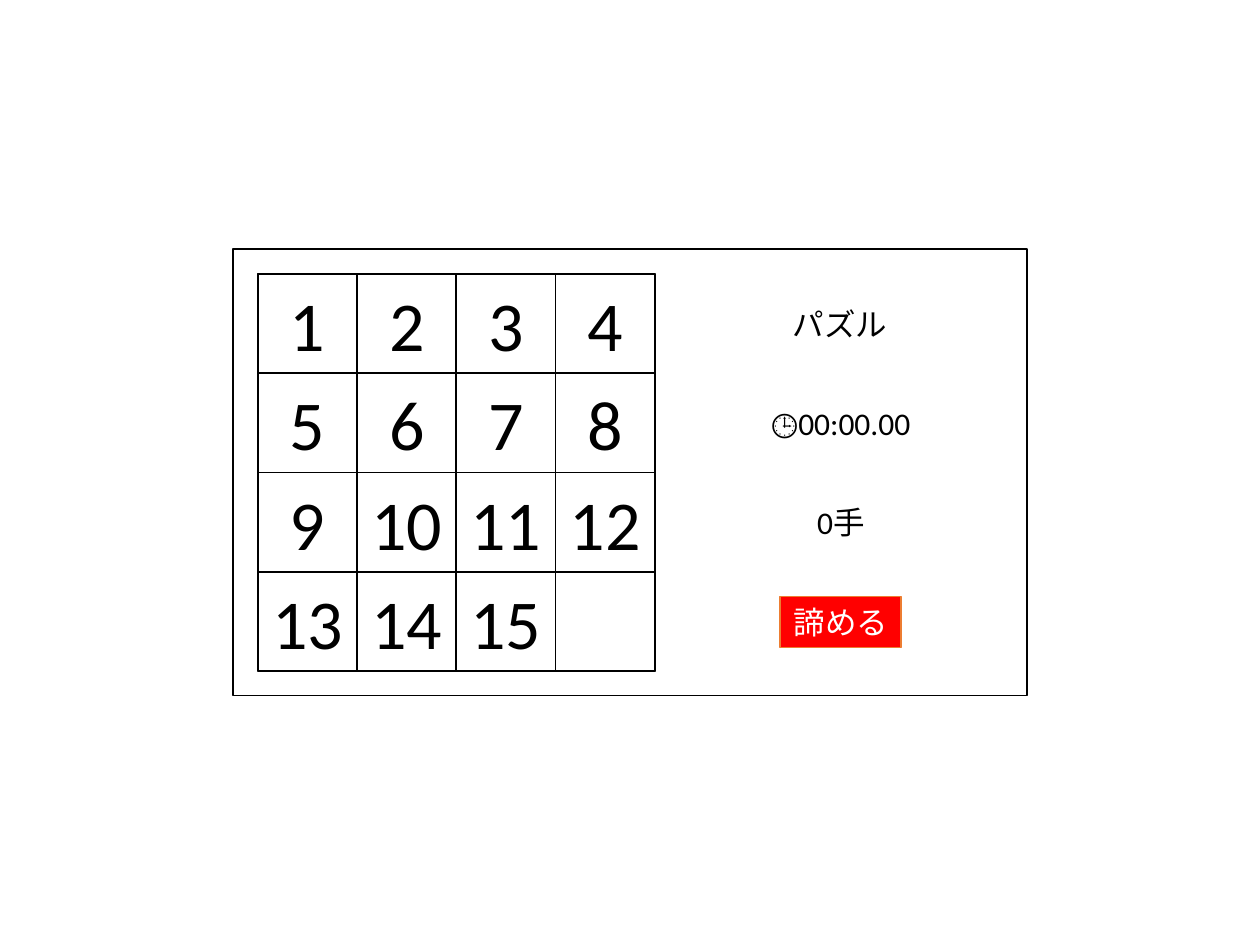
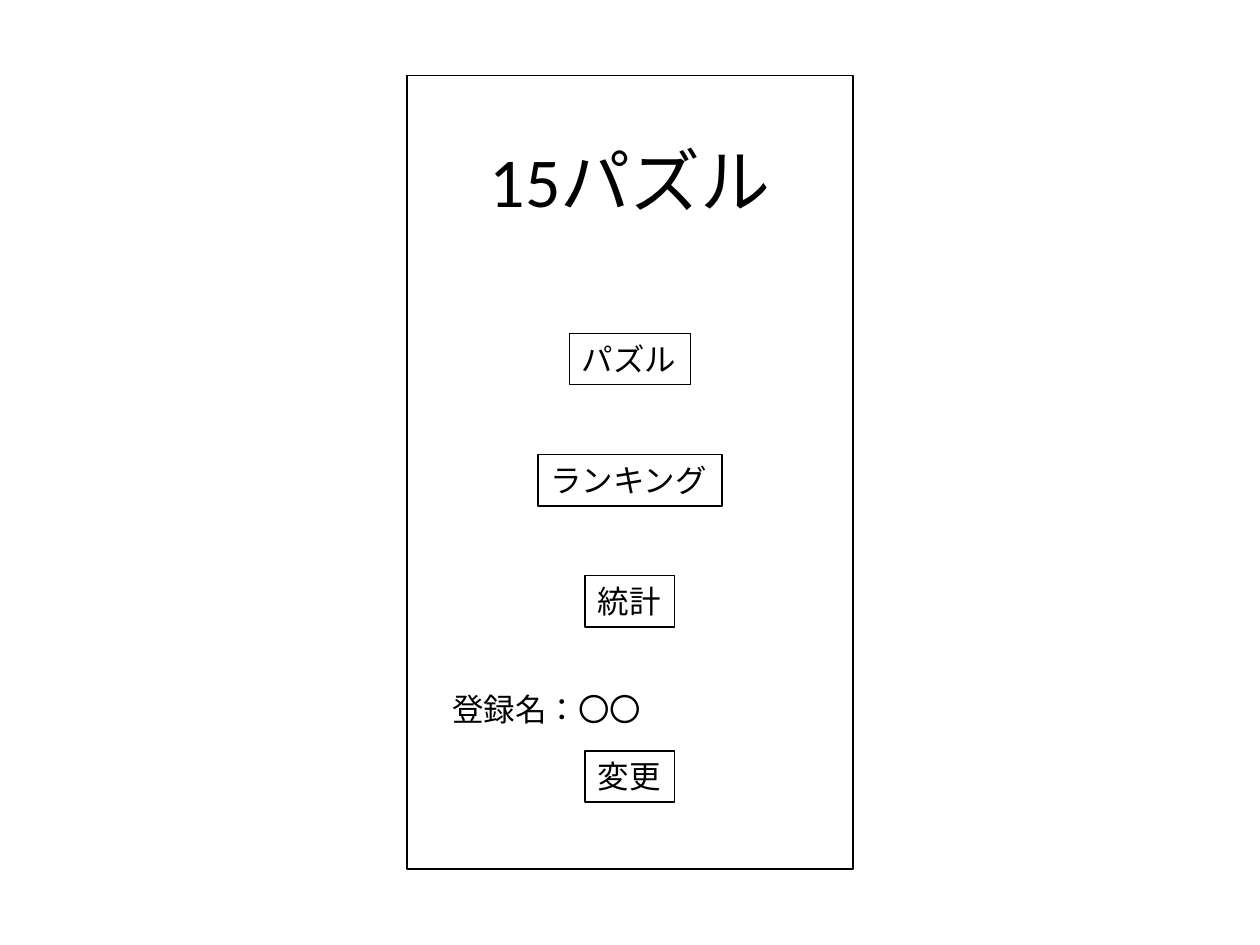
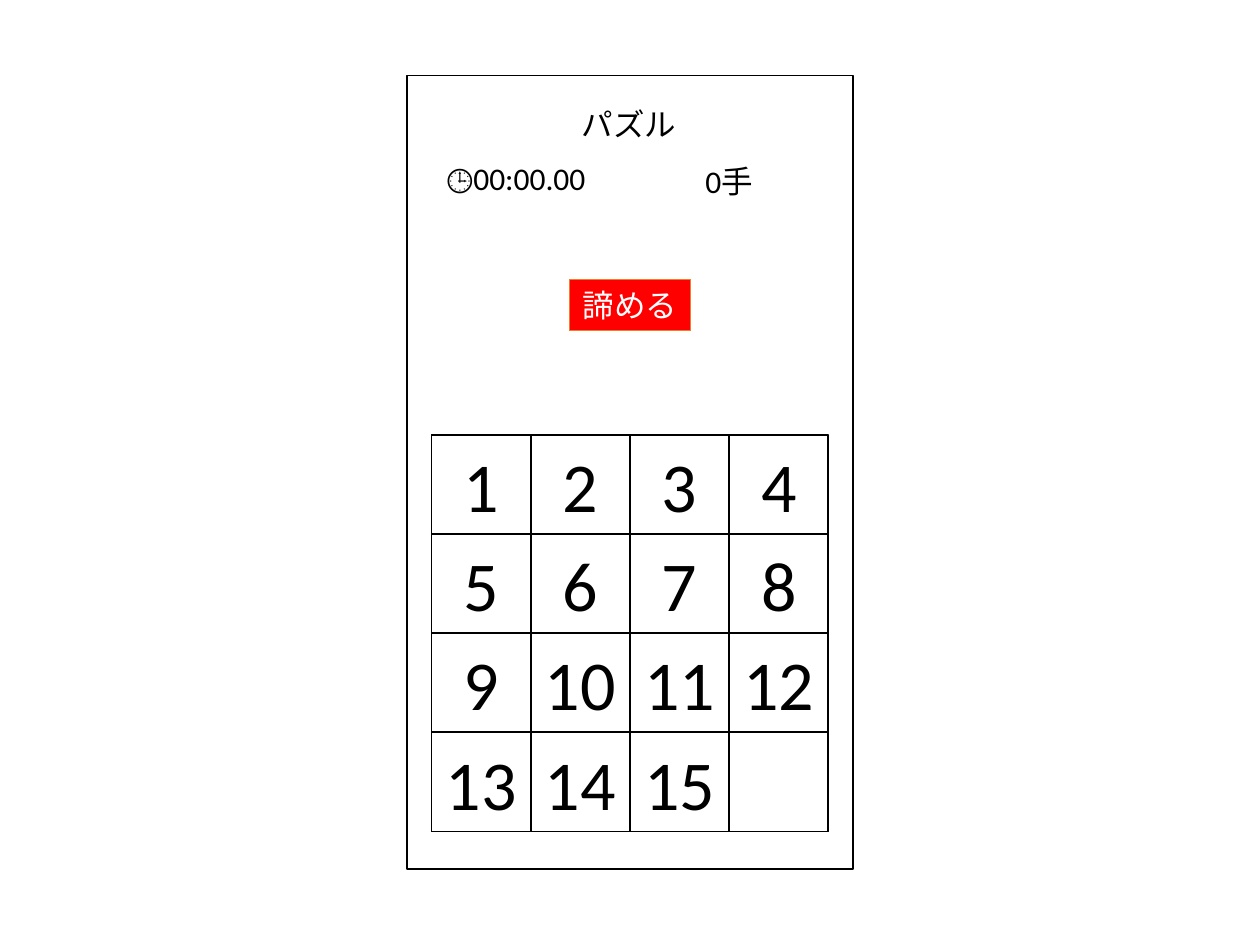
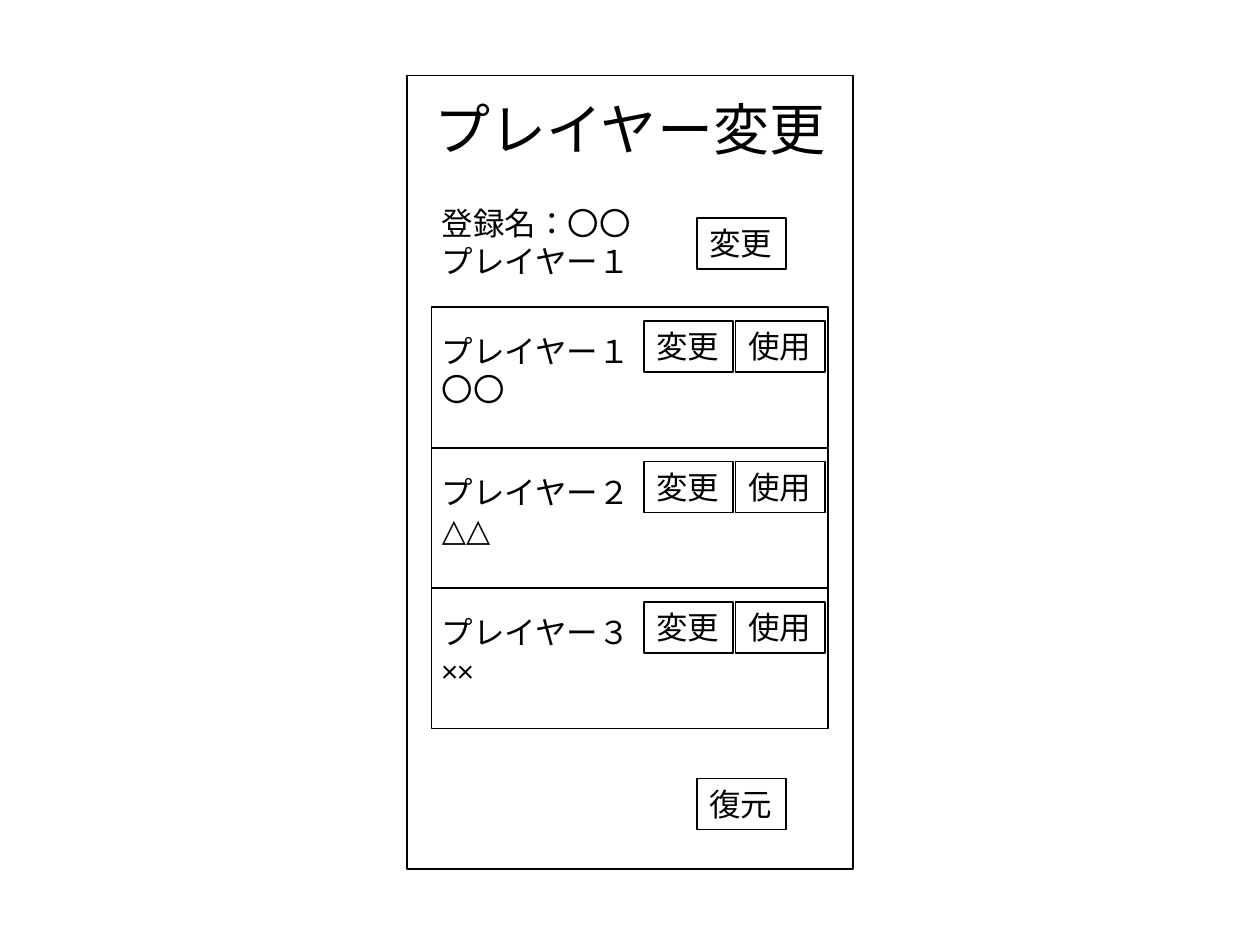
from pptx import Presentation
from pptx.dml.color import RGBColor
from pptx.enum.lang import MSO_LANGUAGE_ID as Language
from pptx.enum.shapes import MSO_SHAPE as Preset
from pptx.enum.text import MSO_ANCHOR as Anchor, MSO_AUTO_SIZE as AutoSize, PP_ALIGN as Align
from pptx.util import Cm, Inches, Pt

COLORS = {"paper": "FFFFFF", "ink": "000000", "danger": "FF0000", "danger_edge": "ED7D31"}
FONT = "Calibri"
BODY, HEADING, LARGE = 18, 32, 40

# The grid has cells of one centimetre, counted from the screen's corner
SLIDE_COLUMNS, SLIDE_ROWS = 25.4, 19.05
LONG_SIDE, SHORT_SIDE = 16, 9
MARGIN, TILE, TILES_PER_SIDE = 0.5, 2, 4
BOARD = TILE * TILES_PER_SIDE
LINE_ROWS = {BODY: 1.03, HEADING: 1.62, LARGE: 1.97}
MIDDLE = SHORT_SIDE / 2


class Wireframe:
    def __init__(self):
        self.presentation = Presentation()
        self.presentation.slide_width = Inches(10)
        self.presentation.slide_height = Inches(7.5)

    def screen(self, columns, rows):
        """Start a slide with a screen outline in its centre."""
        slide = self.presentation.slides.add_slide(self.presentation.slide_layouts[6])
        self.slide = slide
        self.canvas = slide.shapes
        self.origin = ((SLIDE_COLUMNS - columns) / 2, (SLIDE_ROWS - rows) / 2)
        self.box(0, 0, columns, rows)

    def place(self, left, top, width, height):
        return (Cm(self.origin[0] + left), Cm(self.origin[1] + top), Cm(width), Cm(height))

    def box(self, left, top, width, height, fill="paper", line="ink"):
        shape = self.canvas.add_shape(Preset.RECTANGLE, *self.place(left, top, width, height))
        shape.shadow.inherit = False
        shape.fill.solid()
        shape.fill.fore_color.rgb = RGBColor.from_string(COLORS[fill])
        shape.line.color.rgb = RGBColor.from_string(COLORS[line])
        shape.line.width = Pt(1)
        return shape

    def set_text(self, shape, text, size=BODY, color="ink", align=Align.LEFT):
        shape.text_frame.text = text
        for paragraph in shape.text_frame.paragraphs:
            paragraph.alignment = align
            font = paragraph.font
            font.name, font.size = FONT, Pt(size)
            font.language_id = Language.JAPANESE
            font.color.rgb = RGBColor.from_string(COLORS[color])

    def fit(self, shape, wrap=False):
        frame = shape.text_frame
        frame.word_wrap = wrap
        frame.auto_size = AutoSize.SHAPE_TO_FIT_TEXT
        frame.vertical_anchor = Anchor.TOP

    def label(self, text, center, top, width, size=BODY, align=Align.CENTER):
        """Add one line of text around a centre column."""
        shape = self.canvas.add_textbox(
            *self.place(center - width / 2, top, width, LINE_ROWS[size]))
        self.set_text(shape, text, size, align=align)
        self.fit(shape)

    def note(self, text, left, top, width):
        """Add two wrapped lines of text from a left column."""
        shape = self.canvas.add_textbox(*self.place(left, top, width, 1.8))
        self.set_text(shape, text)
        self.fit(shape, wrap=True)

    def button(self, text, center, top, width=1.8):
        shape = self.box(center - width / 2, top, width, LINE_ROWS[BODY])
        self.set_text(shape, text)
        self.fit(shape)

    def give_up_button(self, center, top):
        width = 2.44
        shape = self.box(center - width / 2, top, width, LINE_ROWS[BODY],
                         "danger", "danger_edge")
        self.set_text(shape, "諦める", color="paper", align=Align.CENTER)
        self.fit(shape)

    def board(self, left, top, grouped=False):
        """Add the fifteen numbered tiles and the empty one."""
        if grouped:
            self.canvas = self.slide.shapes.add_group_shape().shapes
        self.box(left, top, BOARD, BOARD)
        for index in range(TILES_PER_SIDE ** 2):
            row, column = divmod(index, TILES_PER_SIDE)
            tile = self.box(left + column * TILE, top + row * TILE, TILE, TILE)
            if index < TILES_PER_SIDE ** 2 - 1:
                self.set_text(tile, str(index + 1), LARGE, align=Align.CENTER)
                tile.text_frame.vertical_anchor = Anchor.MIDDLE
        self.canvas = self.slide.shapes

    def game_status(self, title, clock, moves, give_up):
        """Each argument is the centre column and the top row of that part."""
        self.label("パズル", *title, 2.44, align=Align.LEFT)
        self.label("🕒00:00.00", *clock, 3.43)
        self.label("0手", *moves, 1.47)
        self.give_up_button(*give_up)


def add_landscape_game(wireframe):
    wireframe.screen(LONG_SIDE, SHORT_SIDE)
    wireframe.board(MARGIN, MARGIN)
    center = (MARGIN + BOARD + LONG_SIDE) / 2
    wireframe.game_status(*[(center, 1 + TILE * row) for row in range(4)])


def add_menu(wireframe):
    wireframe.screen(SHORT_SIDE, LONG_SIDE)
    wireframe.label("15パズル", MIDDLE, 1.12, 6.22, LARGE)
    entries = [("パズル", 2.44), ("ランキング", 3.71), ("統計", 1.8)]
    for index, (text, width) in enumerate(entries):
        wireframe.button(text, MIDDLE, 5.2 + 2.44 * index, width)
    wireframe.label("登録名：〇〇", 2.85, 12.27, 4.37, align=Align.LEFT)
    wireframe.button("変更", MIDDLE, 13.61)


def add_portrait_game(wireframe):
    wireframe.screen(SHORT_SIDE, LONG_SIDE)
    wireframe.board(MARGIN, 7.24, grouped=True)
    wireframe.game_status((MIDDLE, 0.46), (2.2, 1.55), (6.5, 1.62), (MIDDLE, 4.11))


def add_player_list(wireframe):
    text_left, side_center, row_height = 0.46, 6.75, 2.83
    wireframe.screen(SHORT_SIDE, LONG_SIDE)
    wireframe.label("プレイヤー変更", MIDDLE, 0.25, 8.48, HEADING)
    wireframe.note("登録名：〇〇\nプレイヤー１", text_left, 2.46, 5.38)
    wireframe.button("変更", side_center, 2.87)

    # One row for each player
    players = ["プレイヤー１\n〇〇", "プレイヤー２\n△△", "プレイヤー３\n××"]
    for index, player in enumerate(players):
        top = 4.67 + row_height * index
        wireframe.box(MARGIN, top, BOARD, row_height)
        wireframe.note(player, text_left, top + 0.38, 4.52)
        wireframe.button("変更", 5.68, top + 0.28)
        wireframe.button("使用", 7.53, top + 0.28)

    wireframe.button("復元", side_center, 14.17)


def main():
    wireframe = Wireframe()
    add_landscape_game(wireframe)
    add_menu(wireframe)
    add_portrait_game(wireframe)
    add_player_list(wireframe)
    wireframe.presentation.save("out.pptx")


if __name__ == "__main__":
    main()
